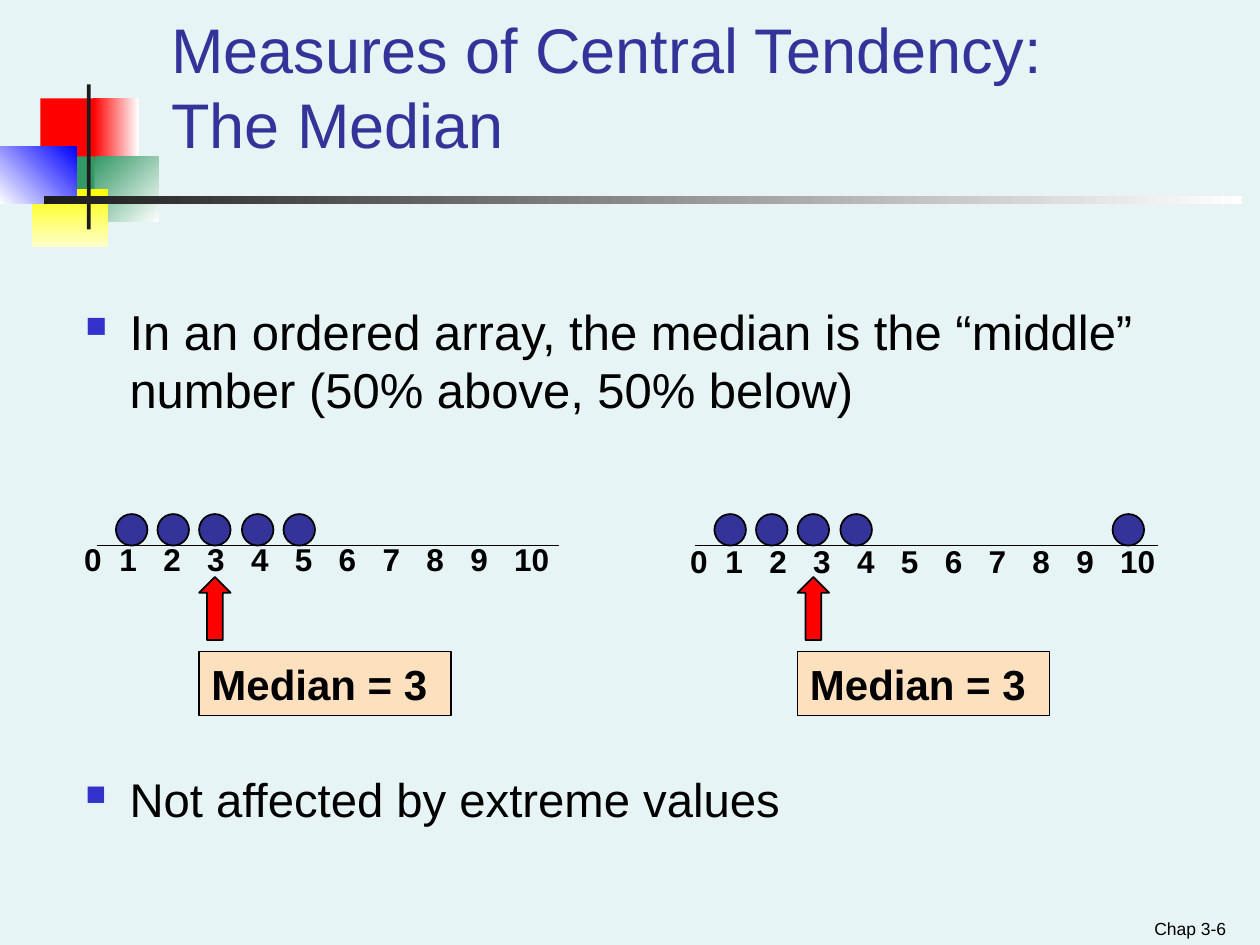
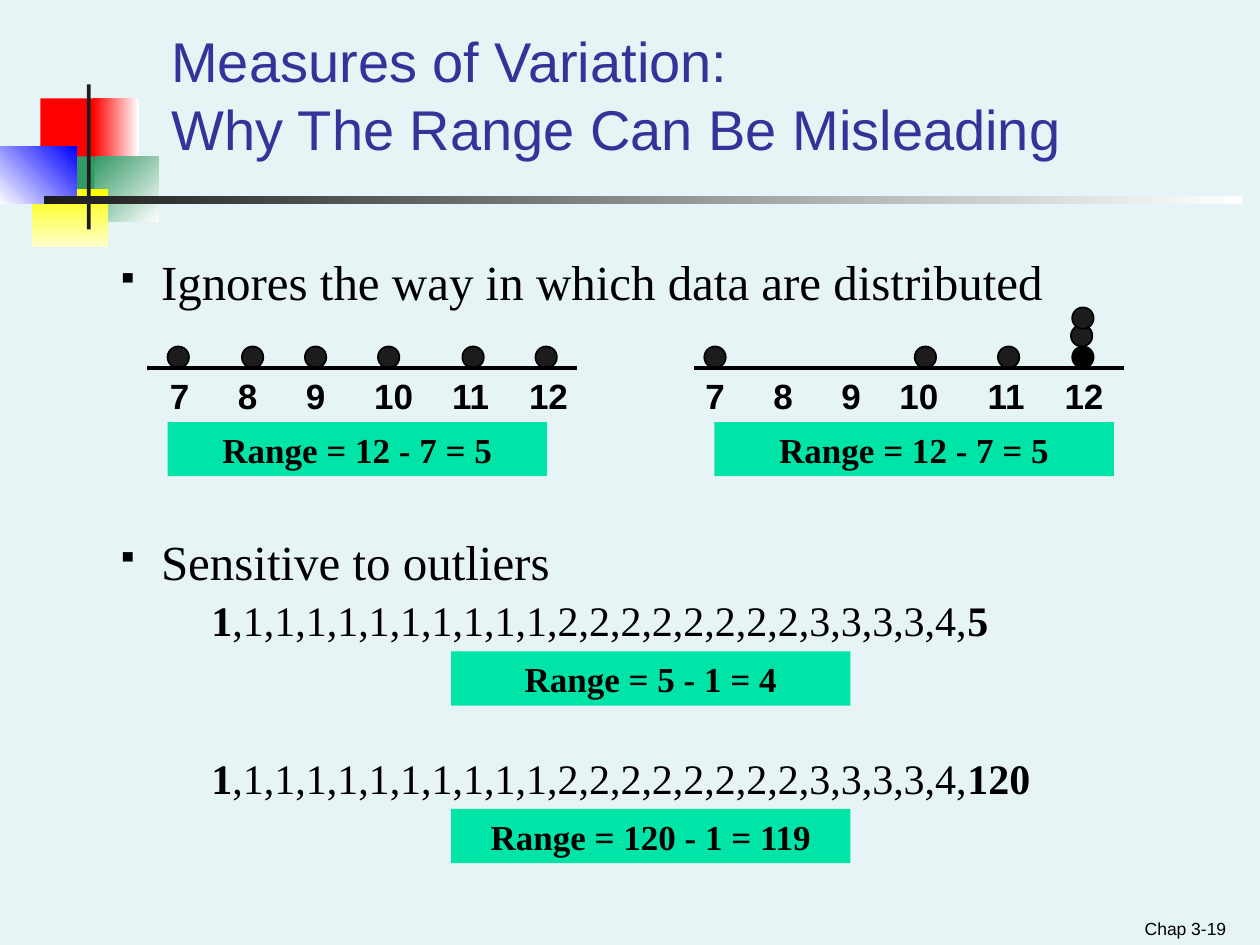
"""Build two statistics slides: the median, and why the range can be misleading."""
from lxml import etree
from pptx import Presentation
from pptx import util as u
from pptx.dml.color import RGBColor
from pptx.enum import shapes, text
from pptx.oxml.ns import qn

SANS, SERIF = "Arial", "Times New Roman"
BLACK, CHARCOAL, INDIGO = "000000", "1C1C1C", "333399"
RED, PEACH, MINT, PALE = "FF0000", "FDE0BD", "00E4A8", "E7F4F5"

EMBLEM = [
    ((0.32, 0.78, 0.48, 0.52), (RED,)),
    ((0.74, 0.78, 0.36, 0.52), (RED, "FFFFFF", 0)),
    ((0.75, 1.24, 0.51, 0.52), ("339966", "FFFFFF", 45)),
    ((0.43, 1.24, 0.32, 0.52), ("339966",)),
    ((0.25, 1.5, 0.61, 0.46), ("FFFF00", "FFFFCC", 90)),
    ((0, 1.16, 0.61, 0.46), ("FFFFFF", "0000FF", 315)),
    ((0.69, 0.67, 0.03, 1.15), (CHARCOAL,)),
    ((0.35, 1.56, 9.51, 0.06), (CHARCOAL, "FFFFFF", 0)),
]

MEDIAN = {
    "title": "Measures of Central Tendency:\vThe Median",
    "title_size": 36,
    "footer": "Chap 3-6",
    "bullets": [
        ("In an ordered array, the median is the “middle” number (50% above, 50% below)", 28, 0),
        ("Not affected by extreme values", 27, 201),
    ],
    "bullet_box": (0.58, 2.34, 9.17, 4.6),
    "bullet_format": {"font": SANS, "bullet": ("■", "3333CC")},
}
MEDIAN_AXES = [
    {"left": 0.77, "label_at": (0.57, 4.24), "dots": [0.15, 0.48, 0.81, 1.15, 1.48]},
    {"left": 5.52, "label_at": (5.38, 4.25), "dots": [0.15, 0.48, 0.81, 1.15, 3.31]},
]
MEDIAN_LABELS = [str(value) for value in range(11)]
MEDIAN_TABS = [0.28 + 0.348 * step for step in range(10)]
MEDIAN_RESULT = "Median = 3"

RANGE = {
    "title": "Measures of Variation:\vWhy The Range Can Be Misleading",
    "title_size": 32,
    "footer": "Chap 3-19",
    "bullets": [
        ("Ignores the way in which data are distributed", 28, 0),
        ("Sensitive to outliers", 28, 126),
    ],
    "bullet_box": (0.83, 1.95, 8.83, 4.5),
    "bullet_format": {"font": SERIF, "bullet": ("▪", BLACK)},
}
RANGE_AXES = [
    {"left": 1.17, "label_left": 1.25, "tabs": [0.54, 1.08, 1.62, 2.24, 2.85],
     "dots": [(offset, 0, CHARCOAL) for offset in (0.16, 0.75, 1.25, 1.83, 2.5, 3.08)],
     "result_left": 1.33, "result_width": 3.01},
    {"left": 5.51, "label_left": 5.5, "tabs": [0.54, 1.08, 1.54, 2.24, 2.85],
     "dots": [(0.08, 0, CHARCOAL), (1.75, 0, CHARCOAL), (2.41, 0, CHARCOAL),
              (3, 0, BLACK), (2.99, 0.17, CHARCOAL), (3, 0.31, CHARCOAL)],
     "result_left": 5.67, "result_width": 3.17},
]
RANGE_LABELS = [str(value) for value in range(7, 13)]
RANGE_RESULT = "Range = 12 - 7 = 5"
MIDDLE_VALUES = ",1,1,1,1,1,1,1,1,1,1,2,2,2,2,2,2,2,2,3,3,3,3,4,"
OUTLIER_ROWS = [("5", "Range = 5 - 1 = 4"), ("120", "Range = 120 - 1 = 119")]


def colour(value):
    return RGBColor.from_string(value)


def lengths(box):
    return [u.Inches(value) for value in box]


def set_bullet(paragraph, character, tint):
    properties = paragraph._p.get_or_add_pPr()
    properties.set("marL", str(u.Inches(0.35)))
    properties.set("indent", str(-u.Inches(0.35)))
    holder = etree.SubElement(properties, qn("a:buClr"))
    etree.SubElement(holder, qn("a:srgbClr"), val=tint)
    etree.SubElement(properties, qn("a:buSzPct"), val="60000")
    etree.SubElement(properties, qn("a:buChar"), char=character)


def set_tabs(paragraph, stops):
    tabs = etree.SubElement(paragraph._p.get_or_add_pPr(), qn("a:tabLst"))
    for stop in stops:
        etree.SubElement(tabs, qn("a:tab"), pos=str(u.Inches(stop)), algn="l")


def write(paragraph, content, size=20, font=SANS, tint=BLACK, bold=False,
          align=text.PP_ALIGN.LEFT, before=0, bullet=None, tabs=()):
    """Fill a paragraph with a string, or with (string, bold) pairs."""
    if bullet:
        set_bullet(paragraph, *bullet)
    if tabs:
        set_tabs(paragraph, tabs)
    paragraph.alignment = align
    paragraph.space_before = u.Pt(before)
    pieces = [(content, bold)] if isinstance(content, str) else content
    for piece, heavy in pieces:
        for index, line in enumerate(piece.split("\v")):
            if index:
                paragraph.add_line_break()
            run = paragraph.add_run()
            run.text = line
            run.font.size, run.font.name, run.font.bold = u.Pt(size), font, heavy
            run.font.color.rgb = colour(tint)


def prepare(frame, anchor=text.MSO_ANCHOR.TOP):
    frame.word_wrap = True
    frame.auto_size = text.MSO_AUTO_SIZE.NONE
    frame.vertical_anchor = anchor
    frame.margin_left = frame.margin_right = u.Inches(0.1)
    frame.margin_top = frame.margin_bottom = u.Inches(0.05)
    return frame.paragraphs[0]


def add_text(slide, box, content, anchor=text.MSO_ANCHOR.TOP, **form):
    frame = slide.shapes.add_textbox(*lengths(box)).text_frame
    write(prepare(frame, anchor), content, **form)
    return frame


def add_shape(slide, kind, box, fill, outlined=True):
    """Add a preset shape; fill is (colour,) or (first, last, clockwise angle)."""
    shape = slide.shapes.add_shape(kind, *lengths(box))
    shape.shadow.inherit = False
    if len(fill) == 1:
        shape.fill.solid()
        shape.fill.fore_color.rgb = colour(fill[0])
    else:
        shape.fill.gradient()
        shape.fill.gradient_angle = -fill[2] % 360
        for stop, tint in zip(shape.fill.gradient_stops, fill):
            stop.color.rgb = colour(tint)
    if outlined:
        shape.line.color.rgb = colour(BLACK)
        shape.line.width = u.Pt(1)
    else:
        shape.line.fill.background()
    return shape


def add_result(slide, box, content, fill, outlined, **form):
    shape = add_shape(slide, shapes.MSO_SHAPE.RECTANGLE, box, (fill,), outlined)
    write(prepare(shape.text_frame, text.MSO_ANCHOR.MIDDLE), content, bold=True, **form)


def add_range_result(slide, left, top, width, content):
    add_result(slide, (left, top, width, 0.43), content, MINT, False,
               font=SERIF, align=text.PP_ALIGN.CENTER)


def add_axis(slide, left, top, width, weight):
    line = slide.shapes.add_connector(
        shapes.MSO_CONNECTOR.STRAIGHT, *lengths((left, top, left + width, top)))
    line.line.color.rgb = colour(BLACK)
    line.line.width = u.Pt(weight)
    etree.SubElement(line._element.spPr, qn("a:effectLst"))


def add_dot(slide, left, bottom, size, fill):
    add_shape(slide, shapes.MSO_SHAPE.OVAL, (left, bottom - size, size, size), (fill,))


def start_slide(presentation, content):
    slide = presentation.slides.add_slide(presentation.slide_layouts[5])
    for box, fill in EMBLEM:
        add_shape(slide, shapes.MSO_SHAPE.RECTANGLE, box, fill, False)
    title = slide.shapes.title
    title.left, title.top, title.width, title.height = lengths((1.26, 0.25, 8.07, 1.08))
    write(prepare(title.text_frame, text.MSO_ANCHOR.BOTTOM), content["title"],
          size=content["title_size"], tint=INDIGO)
    add_text(slide, (7.5, 7.15, 2.33, 0.35), content["footer"], size=10,
             align=text.PP_ALIGN.RIGHT, anchor=text.MSO_ANCHOR.BOTTOM)
    frame = slide.shapes.add_textbox(*lengths(content["bullet_box"])).text_frame
    paragraph = prepare(frame)
    for index, (line, size, before) in enumerate(content["bullets"]):
        if index:
            paragraph = frame.add_paragraph()
        write(paragraph, line, size=size, before=before, **content["bullet_format"])
    return slide


def build_median(presentation):
    slide = start_slide(presentation, MEDIAN)
    for axis in MEDIAN_AXES:
        left = axis["left"]
        add_axis(slide, left, 4.33, 3.67, 1)
        add_text(slide, (*axis["label_at"], 4.36, 0.4), "\t".join(MEDIAN_LABELS),
                 size=18, bold=True, tabs=MEDIAN_TABS)
        for offset in axis["dots"]:
            add_dot(slide, left + offset, 4.33, 0.25, INDIGO)
        add_shape(slide, shapes.MSO_SHAPE.UP_ARROW, (left + 0.81, 4.58, 0.25, 0.5), (RED,))
        add_result(slide, (left + 0.81, 5.17, 2, 0.51), MEDIAN_RESULT, PEACH, True, size=24)


def build_range(presentation):
    slide = start_slide(presentation, RANGE)
    for axis in RANGE_AXES:
        for offset, rise, fill in axis["dots"]:
            add_dot(slide, axis["left"] + offset, 2.92 - rise, 0.17, fill)
        add_axis(slide, axis["left"], 2.92, 3.41, 2.25)
        add_text(slide, (axis["label_left"], 2.92, 3.75, 0.43), "\t".join(RANGE_LABELS),
                 bold=True, tabs=axis["tabs"])
        add_range_result(slide, axis["result_left"], 3.35, axis["result_width"], RANGE_RESULT)
    for row, (last, result) in enumerate(OUTLIER_ROWS):
        top = 4.67 + 1.25 * row
        add_text(slide, (1.58, top, 8, 0.5),
                 [("1", True), (MIDDLE_VALUES, False), (last, True)], size=24, font=SERIF)
        add_range_result(slide, 3.58, top + 0.5, 3.17, result)


def main():
    presentation = Presentation()
    presentation.slide_width, presentation.slide_height = lengths((10, 7.5))
    background = presentation.slide_master.background.fill
    background.solid()
    background.fore_color.rgb = colour(PALE)
    build_median(presentation)
    build_range(presentation)
    presentation.save("out.pptx")


if __name__ == "__main__":
    main()
